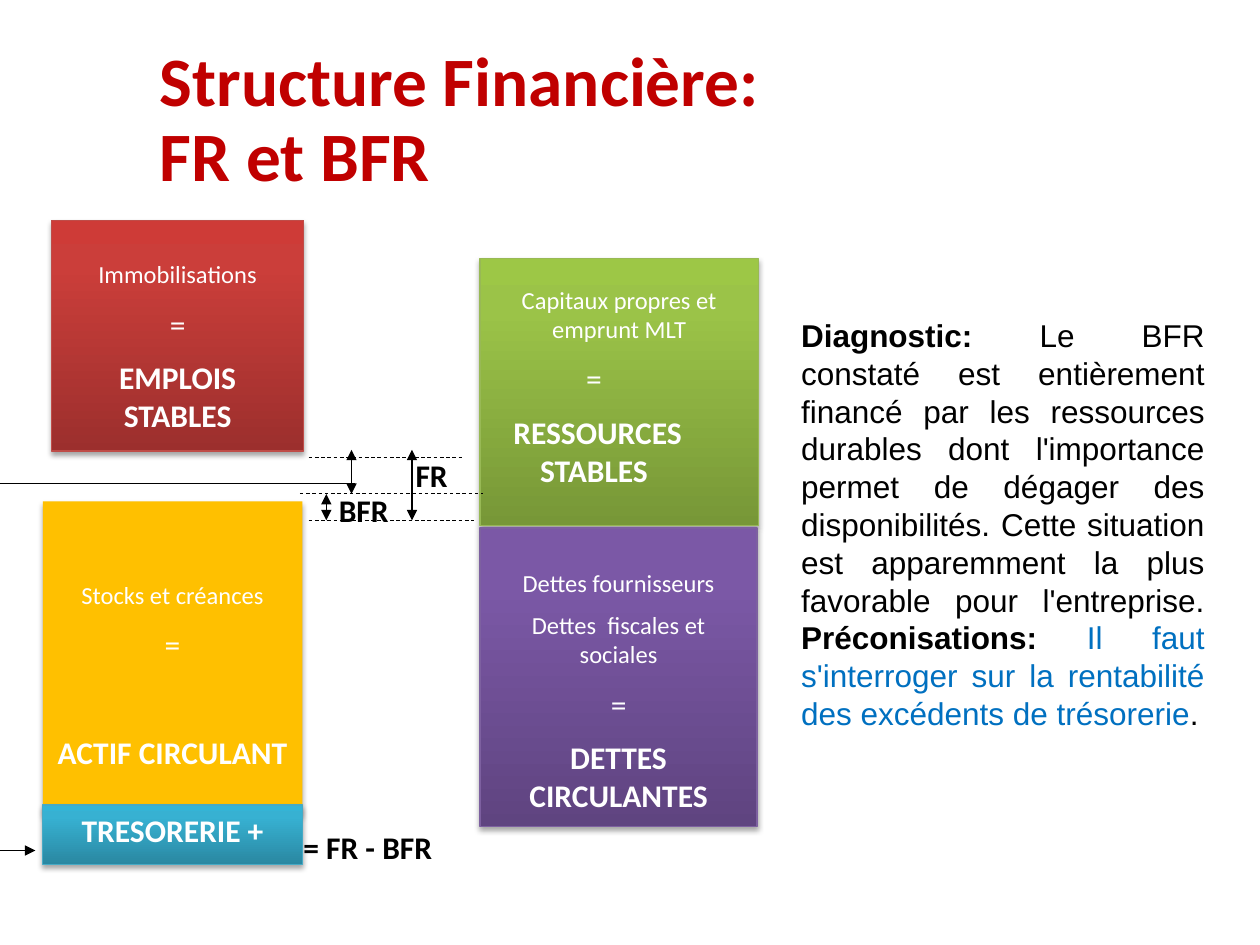
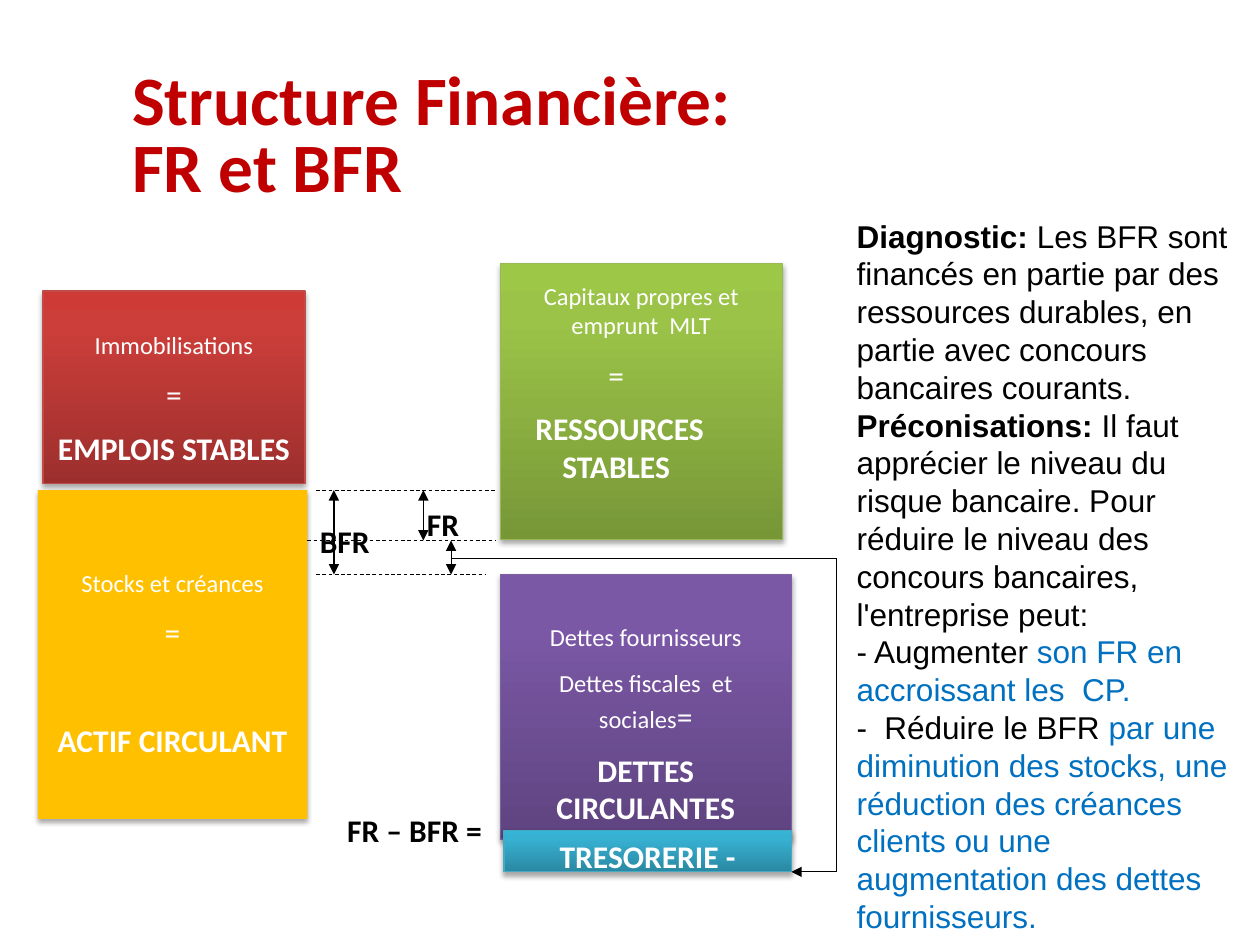
import copy

import pptx
import pptx.dml.color
import pptx.enum.dml
import pptx.enum.shapes
import pptx.enum.text
import pptx.oxml
import pptx.oxml.ns
import pptx.util
from lxml import etree

Inches, Pt = pptx.util.Inches, pptx.util.Pt
qn = pptx.oxml.ns.qn
ALIGN = pptx.enum.text.PP_ALIGN
ANCHOR = pptx.enum.text.MSO_ANCHOR

RED = ("9C2F2D", "CB3E3A", "CE3B37", "BF4C48")
GREEN = ("779737", "9BC348", "9DC746", "98B955")
PURPLE = ("5F4480", "7B58A6", "7C57A8", "7D60A0")
TEAL = ("2A88A2", "37B1D2", "34B4D6", "46AAC5")
AMBER = "FFC000"
BLACK, WHITE, BLUE, TITLE_RED = "000000", "FFFFFF", "0070C0", "C00000"

EQUALS = [("=", 18, False)]


def small(text):
    return [(text, 14, False)]


def strong(text):
    return [(text, 18, True)]


def rgb(value):
    return pptx.dml.color.RGBColor.from_string(value)


def style_run(r, size, bold, color, font="Calibri"):
    r.font.name = font
    r.font.size = Pt(size)
    r.font.bold = bold
    r.font.color.rgb = rgb(color)


def add_text_box(s, box):
    tf = s.shapes.add_textbox(*map(Inches, box)).text_frame
    tf.word_wrap = True
    return tf


def next_paragraph(tf, i):
    return tf.add_paragraph() if i else tf.paragraphs[0]


def add_title(s, left, top, spacing):
    tf = add_text_box(s, (left, top, 9, 1.25))
    tf.vertical_anchor = ANCHOR.MIDDLE
    tf.margin_left = tf.margin_right = Inches(0.05)
    p = tf.paragraphs[0]
    p.text = "Structure Financière:\vFR et BFR"
    p.line_spacing = spacing
    for r in p.runs:
        style_run(r, 39.6, True, TITLE_RED)


def add_shadow(sp):
    sp.shadow.inherit = False
    effects = sp._element.spPr.find(qn("a:effectLst"))
    shadow = etree.SubElement(effects, qn("a:outerShdw"), blurRad=str(Pt(3.1)),
                              dist=str(Pt(1.8)), dir="5400000", rotWithShape="0")
    color = etree.SubElement(shadow, qn("a:srgbClr"), val=BLACK)
    etree.SubElement(color, qn("a:alpha"), val="35000")


def paint(sp, palette):
    if isinstance(palette, str):
        sp.fill.solid()
        sp.fill.fore_color.rgb = rgb(palette)
        sp.line.fill.background()
        return
    sp.fill.gradient()
    sp.fill.gradient_angle = 90
    stops = sp._element.spPr.find(qn("a:gradFill")).find(qn("a:gsLst"))
    stops.append(copy.deepcopy(stops[0]))
    for stop, color, position in zip(sp.fill.gradient_stops, palette, (0, 0.8, 1)):
        stop.color.rgb = rgb(color)
        stop.position = position
    sp.line.color.rgb = rgb(palette[3])
    sp.line.width = Pt(0.75)


def add_block(s, box, palette, top_margin, paragraphs, extra_gaps=None, right_margins=None):
    sp = s.shapes.add_shape(pptx.enum.shapes.MSO_SHAPE.RECTANGLE, *map(Inches, box))
    paint(sp, palette)
    add_shadow(sp)
    tf = sp.text_frame
    tf.word_wrap = True
    tf.vertical_anchor = ANCHOR.TOP
    tf.margin_top = Inches(top_margin)
    tf.margin_bottom = 0
    for i, pieces in enumerate(paragraphs):
        p = next_paragraph(tf, i)
        p.alignment = ALIGN.CENTER
        if i:
            gap = max(size for _, size, _ in pieces) / 2
            p.space_before = Pt(gap + (extra_gaps or {}).get(i, 0))
        if right_margins and i in right_margins:
            p._p.get_or_add_pPr().set("marR", str(Inches(right_margins[i])))
        for text, size, bold in pieces:
            r = p.add_run()
            r.text = text
            style_run(r, size, bold, WHITE)


def add_fixed_assets(s, box):
    add_block(s, box, RED, 0.31,
              [small("Immobilisations"), EQUALS, strong("EMPLOIS STABLES")])


def add_current_assets(s, box):
    add_block(s, box, AMBER, 0.62,
              [small("Stocks et créances"), EQUALS, strong("ACTIF CIRCULANT")],
              extra_gaps={2: 31})


def add_stable_resources(s, box, top_margin, source):
    add_block(s, box, GREEN, top_margin,
              [small(source), EQUALS, strong(" RESSOURCES STABLES")],
              right_margins={1: 0.4})


def add_current_debts(s, box, top_margin, tax_lines):
    add_block(s, box, PURPLE, top_margin,
              [small("Dettes fournisseurs"), *tax_lines, strong("DETTES CIRCULANTES")])


def add_treasury(s, box, sign):
    add_block(s, box, TEAL, 0.05, [strong(f"TRESORERIE {sign}")])


def add_label(s, box, text, align=ALIGN.LEFT):
    p = add_text_box(s, box).paragraphs[0]
    p.text = text
    p.alignment = align
    style_run(p.runs[0], 18, True, BLACK)


def add_line(s, start, end, width=0.5, dashed=False, heads=()):
    line = s.shapes.add_connector(pptx.enum.shapes.MSO_CONNECTOR.STRAIGHT,
                                  *map(Inches, start + end))
    line.line.color.rgb = rgb(BLACK)
    line.line.width = Pt(width)
    if dashed:
        line.line.dash_style = pptx.enum.dml.MSO_LINE.DASH
    ln = line.line._get_or_add_ln()
    for head in heads:
        etree.SubElement(ln, qn(f"a:{head}"), type="triangle")
    etree.SubElement(line._element.spPr, qn("a:effectLst"))


def add_levels(s, levels):
    for left, right, y in levels:
        add_line(s, (left, y), (right, y), dashed=True)


def add_gauges(s, gauges):
    for x, top, bottom, width in gauges:
        add_line(s, (x, top), (x, bottom), width, heads=("headEnd", "tailEnd"))


def add_commentary(s, box, paragraphs, align):
    tf = add_text_box(s, box)
    for i, pieces in enumerate(paragraphs):
        p = next_paragraph(tf, i)
        p.alignment = align
        p.line_spacing = Pt(21.6)
        for text, bold, color in pieces:
            if text == "\v":
                p.add_line_break()
                continue
            r = p.add_run()
            r.text = text
            style_run(r, 18, bold, color, "Arial")


def build_surplus_slide(s):
    add_title(s, 1.22, 0.34, 0.9)
    add_stable_resources(s, (3.81, 2.05, 2.21, 2.12), 0.21, "Capitaux propres et emprunt MLT")
    add_fixed_assets(s, (0.41, 1.75, 2, 1.83))
    add_current_debts(s, (3.81, 4.19, 2.2, 2.37), 0.32,
                      [small("Dettes  fiscales et sociales"), EQUALS])
    add_current_assets(s, (0.34, 3.98, 2.06, 2.49))
    add_treasury(s, (0.34, 6.39, 2.06, 0.47), "+")
    add_levels(s, [(2.45, 3.69, 3.63), (2.38, 3.83, 3.92), (2.45, 3.76, 4.13)])
    add_gauges(s, [(3.27, 3.57, 4.13, 0.75), (2.59, 3.92, 4.13, 0.75), (2.79, 3.57, 3.92, 0.5)])
    add_line(s, (2.82, 3.84), (0, 3.84))
    add_line(s, (0, 6.75), (0.28, 6.75), heads=("tailEnd",))
    add_label(s, (3.2, 3.57, 0.76, 0.34), "FR")
    add_label(s, (2.59, 3.85, 0.62, 0.34), "BFR")
    add_label(s, (2.31, 6.52, 1.58, 0.34), "= FR - BFR")
    add_commentary(s, (6.26, 2.46, 3.4, 3.43), [[
        ("Diagnostic:", True, BLACK),
        (" Le BFR constaté est entièrement financé par les ressources durables dont "
         "l'importance permet de dégager des disponibilités. Cette situation est "
         "apparemment la plus favorable pour l'entreprise.", False, BLACK),
        ("\v", False, BLACK),
        ("Préconisations: ", True, BLACK),
        ("Il faut s'interroger sur la rentabilité des excédents de trésorerie", False, BLUE),
        (".", False, BLACK),
    ]], ALIGN.JUSTIFY)


def build_deficit_slide(s):
    add_title(s, 1, 0.48, 0.8)
    add_stable_resources(s, (3.97, 2.09, 2.24, 2.19), 0.14, "Capitaux propres et emprunt  MLT")
    add_fixed_assets(s, (0.34, 2.31, 2.08, 1.53))
    add_current_debts(s, (3.97, 4.56, 2.31, 2.1), 0.38,
                      [small("Dettes fiscales  et sociales") + EQUALS])
    add_current_assets(s, (0.3, 3.89, 2.14, 2.61))
    add_treasury(s, (4, 6.59, 2.28, 0.33), "-")
    add_levels(s, [(2.51, 3.93, 3.89), (2.44, 3.93, 4.29), (2.51, 3.86, 4.56)])
    add_gauges(s, [(3.36, 3.89, 4.29, 0.75), (2.65, 3.89, 4.56, 0.75), (3.58, 4.29, 4.56, 0.5)])
    add_line(s, (3.58, 4.43), (6.64, 4.43))
    add_line(s, (6.64, 4.43), (6.64, 6.92), 0.75)
    add_line(s, (6.64, 6.92), (6.28, 6.92), heads=("tailEnd",))
    add_label(s, (3.29, 3.96, 0.78, 0.32), "FR")
    add_label(s, (2.44, 4.09, 0.64, 0.32), "BFR")
    add_label(s, (2.47, 6.39, 1.64, 0.32), "FR – BFR =", ALIGN.CENTER)
    add_commentary(s, (6.7, 1.67, 3.3, 5.86), [
        [("Diagnostic:", True, BLACK),
         (" Les BFR sont financés en partie par des ressources durables, en partie avec "
          "concours bancaires courants.", False, BLACK)],
        [("Préconisations:", True, BLACK),
         (" Il faut apprécier le niveau du risque bancaire. Pour réduire le niveau des "
          "concours bancaires, l'entreprise peut:", False, BLACK)],
        [("- Augmenter ", False, BLACK),
         ("son FR en accroissant les  CP.", False, BLUE)],
        [("-  Réduire le BFR ", False, BLACK),
         ("par une diminution des stocks, une réduction des créances clients ou une "
          "augmentation des dettes fournisseurs.", False, BLUE)],
    ], ALIGN.LEFT)


def main():
    prs = pptx.Presentation()
    prs.slide_width, prs.slide_height = Inches(10), Inches(7.5)
    for build in (build_surplus_slide, build_deficit_slide):
        build(prs.slides.add_slide(prs.slide_layouts[6]))
    prs.save("out.pptx")


if __name__ == "__main__":
    main()
